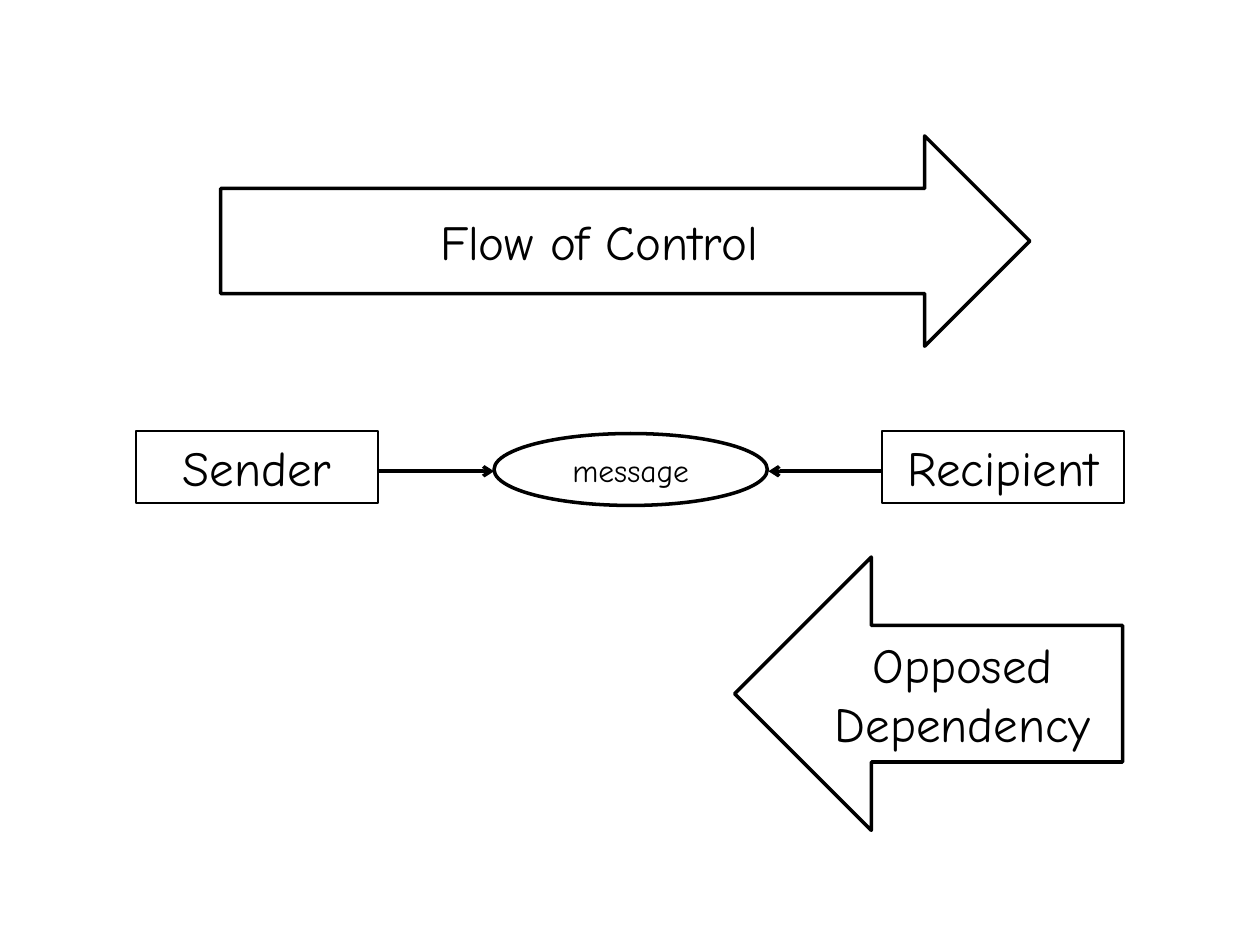
from lxml.etree import SubElement
from pptx import Presentation
from pptx.dml.color import RGBColor
from pptx.enum.shapes import MSO_CONNECTOR, MSO_SHAPE
from pptx.enum.text import MSO_ANCHOR, PP_ALIGN
from pptx.oxml.ns import qn
from pptx.util import Cm, Pt

COLORS = {"ink": "000000", "paper": "FFFFFF"}
LABEL = {"name": "Comic Neue", "size": Pt(28)}
SMALL_LABEL = {**LABEL, "size": Pt(18)}


def color(name):
    return RGBColor.from_string(COLORS[name])


def set_line(line, width):
    line.color.rgb = color("ink")
    line.width = Pt(width)


def add_labelled(s, kind, box, text, font=LABEL, width=2, anchor=MSO_ANCHOR.MIDDLE):
    """Add an unfilled, outlined shape with a centred label."""
    sp = s.shapes.add_shape(kind, *map(Cm, box))
    sp.shadow.inherit = False
    sp.fill.background()
    set_line(sp.line, width)
    tf = sp.text_frame
    tf.word_wrap = True
    tf.vertical_anchor = anchor
    p = tf.paragraphs[0]
    p.alignment = PP_ALIGN.CENTER
    r = p.add_run()
    r.text = text
    for key, value in font.items():
        setattr(r.font, key, value)
    r.font.color.rgb = color("ink")


def add_arrow(s, start_x, end_x, y):
    """Add a horizontal line with an open arrowhead at its end."""
    line = s.shapes.add_connector(
        MSO_CONNECTOR.STRAIGHT, Cm(start_x), Cm(y), Cm(end_x), Cm(y))
    set_line(line.line, 2)
    SubElement(line.line._get_or_add_ln(), qn("a:tailEnd"), type="arrow")
    SubElement(line._element.spPr, qn("a:effectLst"))


def main():
    prs = Presentation()
    prs.slide_width, prs.slide_height = Cm(25.4), Cm(19.05)
    s = prs.slides.add_slide(prs.slide_layouts[6])
    s.background.fill.solid()
    s.background.fill.fore_color.rgb = color("paper")

    # Sender and recipient
    for x, name in ((2.74, "Sender"), (17.78, "Recipient")):
        add_labelled(s, MSO_SHAPE.RECTANGLE, (x, 8.69, 4.88, 1.45), name,
                     width=0.75, anchor=MSO_ANCHOR.TOP)

    # Message, with an arrow from each side
    add_labelled(s, MSO_SHAPE.OVAL, (9.96, 8.74, 5.51, 1.45), "message", SMALL_LABEL)
    for start_x, end_x in ((7.62, 9.96), (17.78, 15.49)):
        add_arrow(s, start_x, end_x, 9.5)

    # Block arrows for the two directions
    add_labelled(s, MSO_SHAPE.RIGHT_ARROW, (4.45, 2.74, 16.31, 4.24), "Flow of Control")
    add_labelled(s, MSO_SHAPE.LEFT_ARROW, (14.81, 11.23, 7.82, 5.51), "Opposed Dependency")

    prs.save("out.pptx")


if __name__ == "__main__":
    main()
